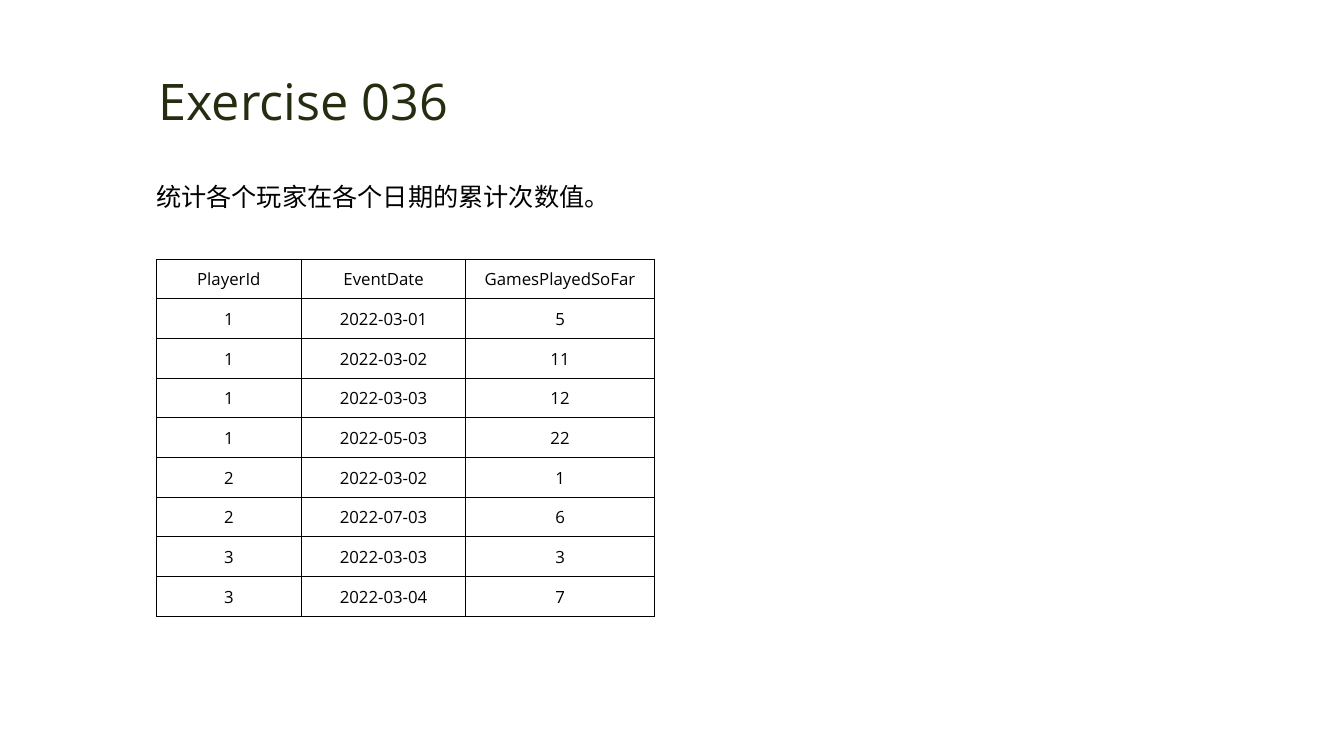
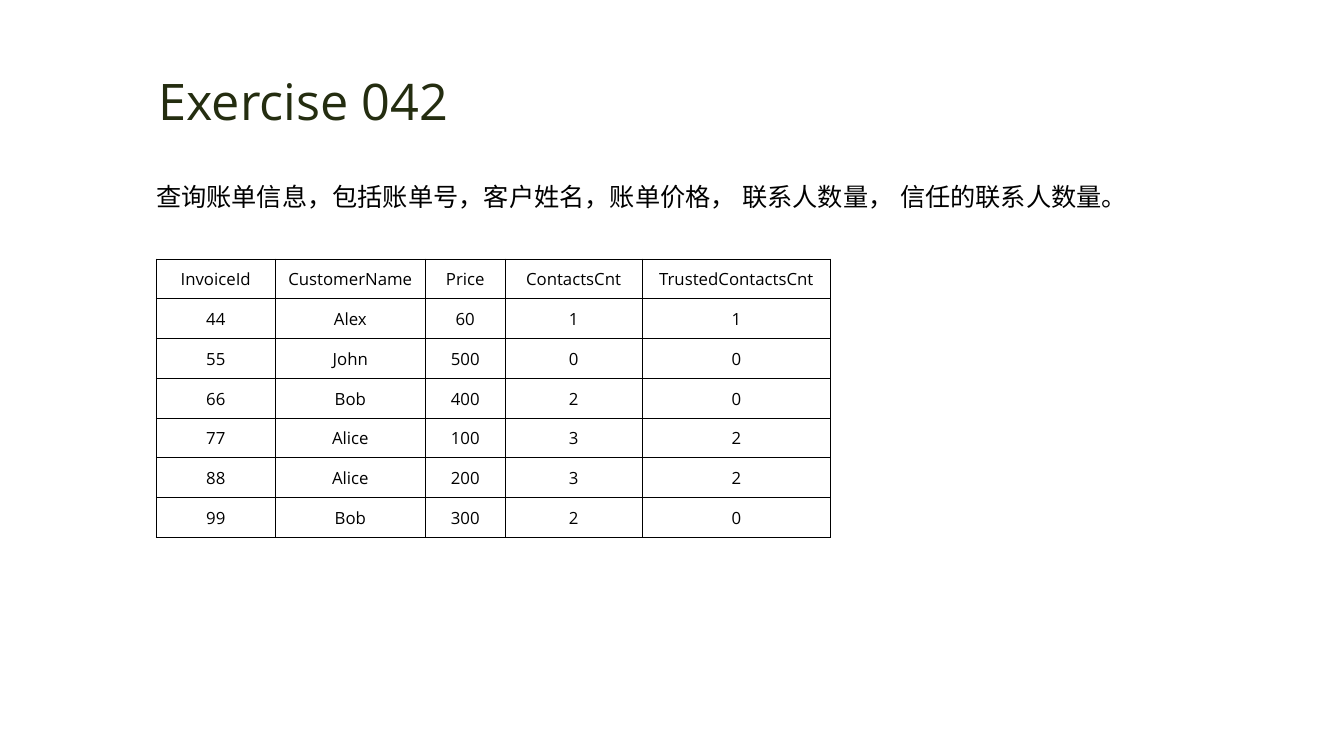
from lxml import etree
from pptx import Presentation
from pptx.dml.color import RGBColor
from pptx.enum import text
from pptx.oxml.ns import qn
from pptx.util import Inches, Pt

FONT = "Open Sans"
COLORS = {"title": "242D10", "ink": "000000"}
TITLE_BOX = (1.39, 0.64, 3.24, 0.71)
TASK_LEFT, TASK_TOP, TASK_HEIGHT = 1.45, 1.6, 0.51
TABLE_LEFT, TABLE_TOP = 1.55, 2.57

EXERCISES = [
    {
        "title": "Exercise 036",
        "task": "统计各个玩家在各个日期的累计次数值。",
        "task_width": 5.23,
        "columns": [1.44, 1.63, 1.87],
        "table_height": 3.54,
        "rows": [
            ("PlayerId", "EventDate", "GamesPlayedSoFar"),
            ("1", "2022-03-01", "5"),
            ("1", "2022-03-02", "11"),
            ("1", "2022-03-03", "12"),
            ("1", "2022-05-03", "22"),
            ("2", "2022-03-02", "1"),
            ("2", "2022-07-03", "6"),
            ("3", "2022-03-03", "3"),
            ("3", "2022-03-04", "7"),
        ],
    },
    {
        "title": "Exercise 042",
        "task": "查询账单信息，包括账单号，客户姓名，账单价格， 联系人数量， 信任的联系人数量。",
        "task_width": 9.95,
        "columns": [1.18, 1.49, 0.79, 1.36, 1.87],
        "table_height": 2.76,
        "rows": [
            ("InvoiceId", "CustomerName", "Price", "ContactsCnt", "TrustedContactsCnt"),
            ("44", "Alex", "60", "1", "1"),
            ("55", "John", "500", "0", "0"),
            ("66", "Bob", "400", "2", "0"),
            ("77", "Alice", "100", "3", "2"),
            ("88", "Alice", "200", "3", "2"),
            ("99", "Bob", "300", "2", "0"),
        ],
    },
]


def add_run(paragraph, words, size, color):
    run = paragraph.add_run()
    run.text = words
    run.font.name = FONT
    run.font.size = Pt(size)
    run.font.color.rgb = RGBColor.from_string(COLORS[color])
    # East Asian typeface, for the Chinese text
    etree.SubElement(run.font._element, qn("a:ea"), typeface=FONT)


def add_title(slide, words, box):
    title = slide.shapes.title
    title.left, title.top, title.width, title.height = map(Inches, box)
    frame = title.text_frame
    frame.word_wrap = False
    frame.auto_size = text.MSO_AUTO_SIZE.NONE
    frame.vertical_anchor = text.MSO_ANCHOR.MIDDLE
    paragraph = frame.paragraphs[0]
    paragraph.alignment = text.PP_ALIGN.CENTER
    add_run(paragraph, words, 36, "title")


def add_task(slide, words, box):
    frame = slide.shapes.add_textbox(*map(Inches, box)).text_frame
    frame.word_wrap = True
    frame.auto_size = text.MSO_AUTO_SIZE.SHAPE_TO_FIT_TEXT
    paragraph = frame.paragraphs[0]
    paragraph.line_spacing = 1.5
    add_run(paragraph, words, 18, "ink")


def add_borders(cell):
    properties = cell._tc.get_or_add_tcPr()
    for side in ("a:lnL", "a:lnR", "a:lnT", "a:lnB"):
        line = etree.SubElement(properties, qn(side), w=str(Pt(0.5)))
        fill = etree.SubElement(line, qn("a:solidFill"))
        etree.SubElement(fill, qn("a:srgbClr"), val=COLORS["ink"])


def fill_cell(cell, words):
    cell.margin_left = cell.margin_right = cell.margin_top = Inches(0.01)
    cell.margin_bottom = 0
    cell.vertical_anchor = text.MSO_ANCHOR.MIDDLE
    add_borders(cell)
    cell.fill.background()
    paragraph = cell.text_frame.paragraphs[0]
    paragraph.alignment = text.PP_ALIGN.CENTER
    add_run(paragraph, words, 12, "ink")


def add_result_table(slide, rows, columns, box):
    table = slide.shapes.add_table(len(rows), len(columns), *map(Inches, box)).table
    table.first_row = table.horz_banding = False
    for column, width in zip(table.columns, columns):
        column.width = Inches(width)
    for row, values in zip(table.rows, rows):
        for cell, value in zip(row.cells, values):
            fill_cell(cell, value)


def add_exercise_slide(deck, exercise):
    slide = deck.slides.add_slide(deck.slide_layouts[5])
    add_title(slide, exercise["title"], TITLE_BOX)
    add_task(slide, exercise["task"],
             (TASK_LEFT, TASK_TOP, exercise["task_width"], TASK_HEIGHT))
    columns = exercise["columns"]
    add_result_table(slide, exercise["rows"], columns,
                     (TABLE_LEFT, TABLE_TOP, sum(columns), exercise["table_height"]))


def main():
    deck = Presentation()
    deck.slide_width, deck.slide_height = Inches(13.33), Inches(7.5)
    for exercise in EXERCISES:
        add_exercise_slide(deck, exercise)
    deck.save("out.pptx")


if __name__ == "__main__":
    main()
